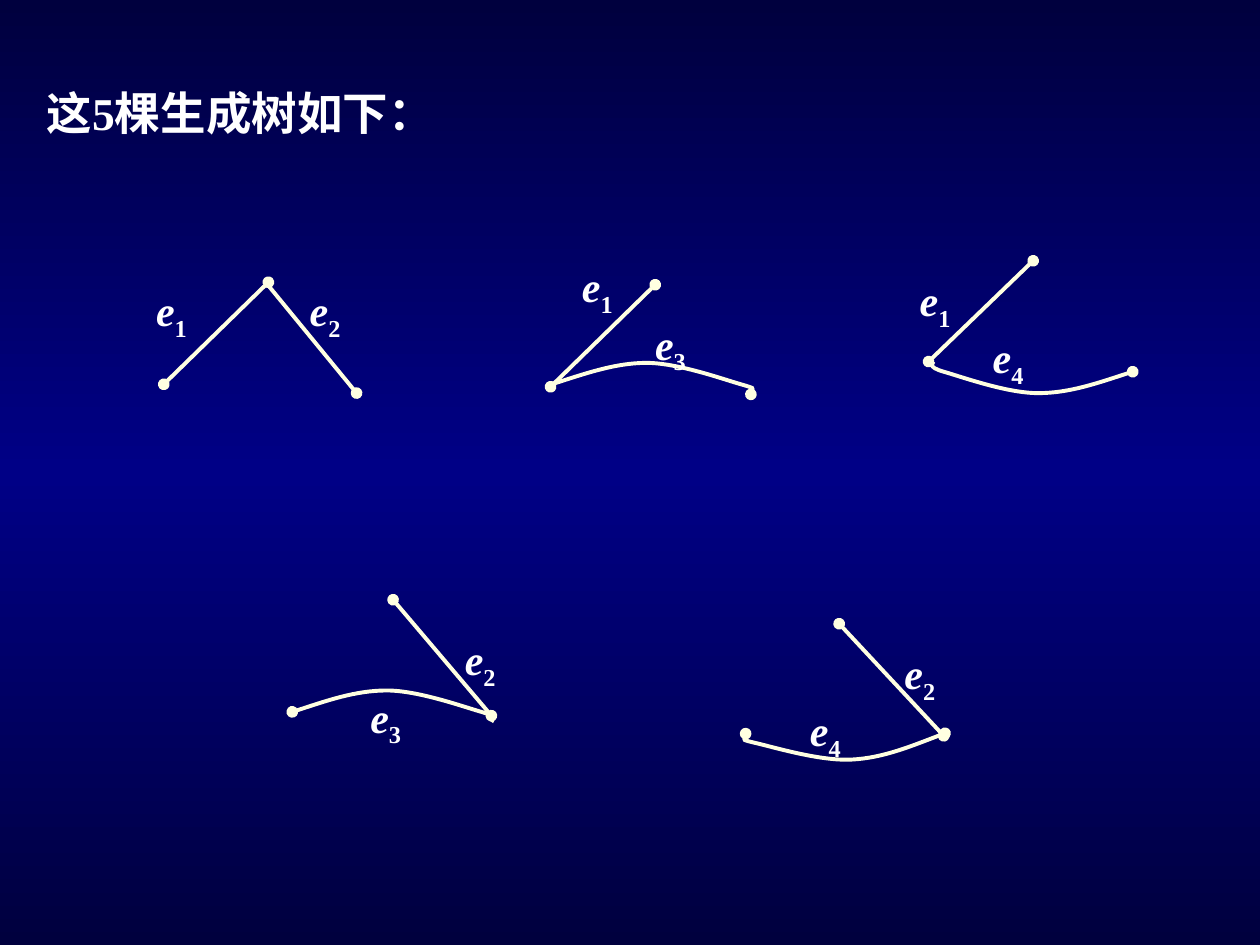
from copy import deepcopy
from math import cos, radians, sin

from lxml import etree
from pptx import Presentation
from pptx.dml.color import RGBColor
from pptx.enum.shapes import MSO_CONNECTOR
from pptx.enum.text import MSO_ANCHOR, PP_ALIGN
from pptx.oxml.ns import qn
from pptx.util import Inches, Pt

STRAIGHT = MSO_CONNECTOR.STRAIGHT
LEFT = PP_ALIGN.LEFT
MIDDLE, TOP = MSO_ANCHOR.MIDDLE, MSO_ANCHOR.TOP

WHITE = RGBColor(0xFF, 0xFF, 0xFF)
CREAM = RGBColor(0xFF, 0xFF, 0xE1)
NAVY = RGBColor(0x00, 0x00, 0x3E)
BLUE = RGBColor(0x00, 0x00, 0x86)
FONT = "Times New Roman"

# Content: lengths in inches; ends name the arrowheads that draw the vertices
TITLE = "这5棵生成树如下："
BOTH, START, END = ("head", "tail"), ("head",), ("tail",)
TREES = [
    {"lines": [((1.3, 3.05), (2.13, 2.24), BOTH), ((2.83, 3.12), (2.1, 2.23), START)],
     "labels": ["e1\te2"], "box": (1.14, 2.21, 2, 0.56), "tab": 1.22},
    {"lines": [((4.37, 3.07), (5.2, 2.26), BOTH)],
     "curve": ((4.38, 3.05), 0, END),
     "labels": ["e1", "\te3"], "box": (4.52, 2.02, 1.68, 1.01), "tab": 0.58},
    {"lines": [((8.2, 2.07), (7.37, 2.87), BOTH)],
     "curve": ((8.99, 2.95), 180, START),
     "labels": ["e1", "\te4"], "box": (7.2, 2.13, 1.68, 1.01), "tab": 0.58},
    {"lines": [((3.9, 5.68), (3.12, 4.76), BOTH)],
     "curve": ((2.32, 5.65), 0, START),
     "labels": ["\te2", "e3"], "box": (2.84, 4.98, 1.68, 1.01), "tab": 0.75},
    {"lines": [((6.66, 4.95), (7.49, 5.84), BOTH)],
     "curve": ((7.5, 5.82), 177, BOTH),
     "labels": ["\te2", "e4"], "box": (6.33, 5.09, 1.68, 1.01), "tab": 0.75},
]

# Bezier points of the shared arch, relative to its start
ARCH = [(0.25, -0.08), (0.5, -0.17), (0.75, -0.17),
        (1, -0.17), (1.36, -0.04), (1.5, 0),
        (1.64, 0.04), (1.58, 0.07), (1.58, 0.08)]


def apply_format(target, **values):
    for name, value in values.items():
        setattr(target, name, value)


def style_edge(edge, ends):
    edge.line.color.rgb = CREAM
    edge.line.width = Pt(2.25)
    outline = edge.line._get_or_add_ln()
    for end in ends:
        etree.SubElement(outline, qn(f"a:{end}End"), type="oval")


def add_line(group, start, stop, ends):
    line = group.shapes.add_connector(STRAIGHT, *map(Inches, start + stop))
    style_edge(line, ends)
    etree.SubElement(line._element.spPr, qn("a:effectLst"))


def add_curve(group, start, angle, ends):
    x, y = start
    c, s = cos(radians(angle)), sin(radians(angle))
    points = [(Inches(x + dx * c - dy * s), Inches(y + dx * s + dy * c))
              for dx, dy in ARCH]
    builder = group.shapes.build_freeform(Inches(x), Inches(y))
    builder.add_line_segments(points, close=False)
    curve = builder.convert_to_shape()
    curve.fill.background()
    style_edge(curve, ends)
    curve.shadow.inherit = False
    # Join each three line segments into one cubic segment
    outline = curve._element.find(".//" + qn("a:path"))
    segments = outline.findall(qn("a:lnTo"))
    for i in range(0, len(segments), 3):
        cubic = etree.SubElement(outline, qn("a:cubicBezTo"))
        for segment in segments[i:i + 3]:
            cubic.append(segment[0])
            outline.remove(segment)


def add_labels(group, labels, place, tab):
    box = group.shapes.add_textbox(*map(Inches, place))
    frame = box.text_frame
    apply_format(frame, word_wrap=True, vertical_anchor=TOP)
    for i, row in enumerate(labels):
        para = frame.paragraphs[0] if i == 0 else frame.add_paragraph()
        stops = etree.SubElement(para._p.get_or_add_pPr(), qn("a:tabLst"))
        etree.SubElement(stops, qn("a:tab"), pos=str(Inches(tab)), algn="l")
        for char in row:
            span = para.add_run()
            span.text = char
            apply_format(span.font, name=FONT, size=Pt(24), bold=True, italic=char == "e")
            span.font.color.rgb = WHITE
            if char.isdigit():
                span.font._element.set("baseline", "-25000")


deck = Presentation()
deck.slide_width, deck.slide_height = Inches(10), Inches(7.5)
page = deck.slides.add_slide(deck.slide_layouts[5])

# Background: dark at both edges, brighter in the middle
fill = page.background.fill
fill.gradient()
fill.gradient_angle = 270
stop_list = page.element.find(".//" + qn("a:gsLst"))
stop_list.append(deepcopy(stop_list[0]))
for stop, position, color in zip(fill.gradient_stops, (0, 0.5, 1), (NAVY, BLUE, NAVY)):
    stop.color.rgb = color
    stop.position = position

# Title
title = page.shapes.title
apply_format(title, left=Inches(0.27), top=Inches(0.62),
             width=Inches(4.47), height=Inches(0.54))
title.text_frame.text = TITLE
apply_format(title.text_frame, word_wrap=True, vertical_anchor=MIDDLE)
para = title.text_frame.paragraphs[0]
para.alignment = LEFT
span = para.runs[0]
apply_format(span.font, name=FONT, size=Pt(26), bold=True)
span.font.color.rgb = WHITE

# Spanning trees
for tree in TREES:
    group = page.shapes.add_group_shape()
    for line in tree["lines"]:
        add_line(group, *line)
    if "curve" in tree:
        add_curve(group, *tree["curve"])
    add_labels(group, tree["labels"], tree["box"], tree["tab"])

deck.save("out.pptx")
